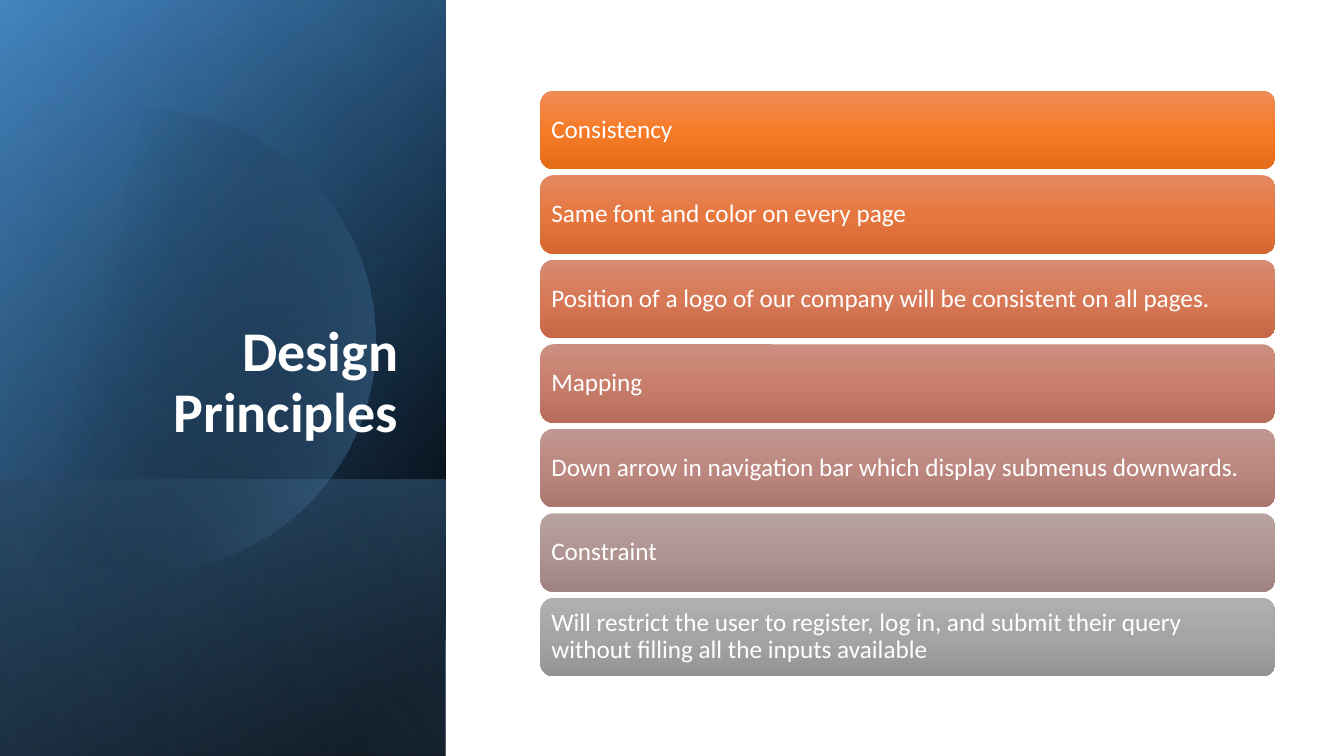
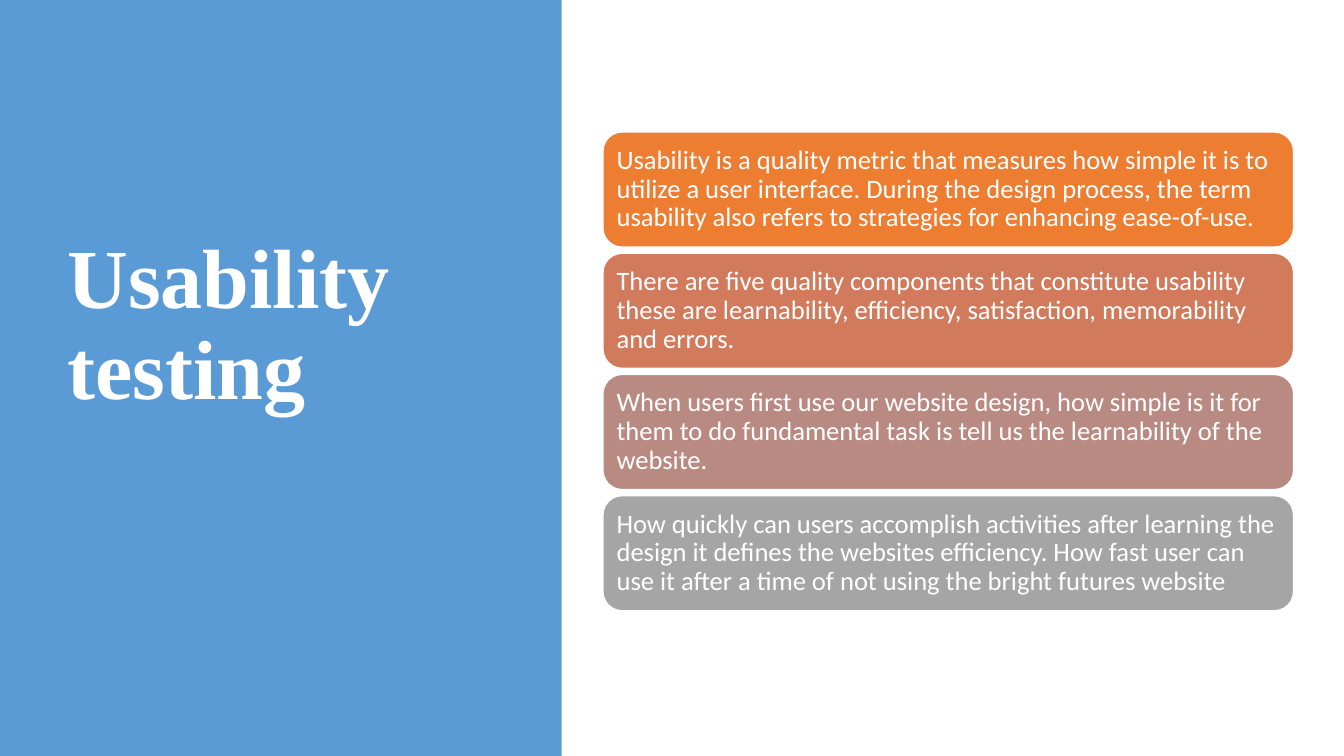
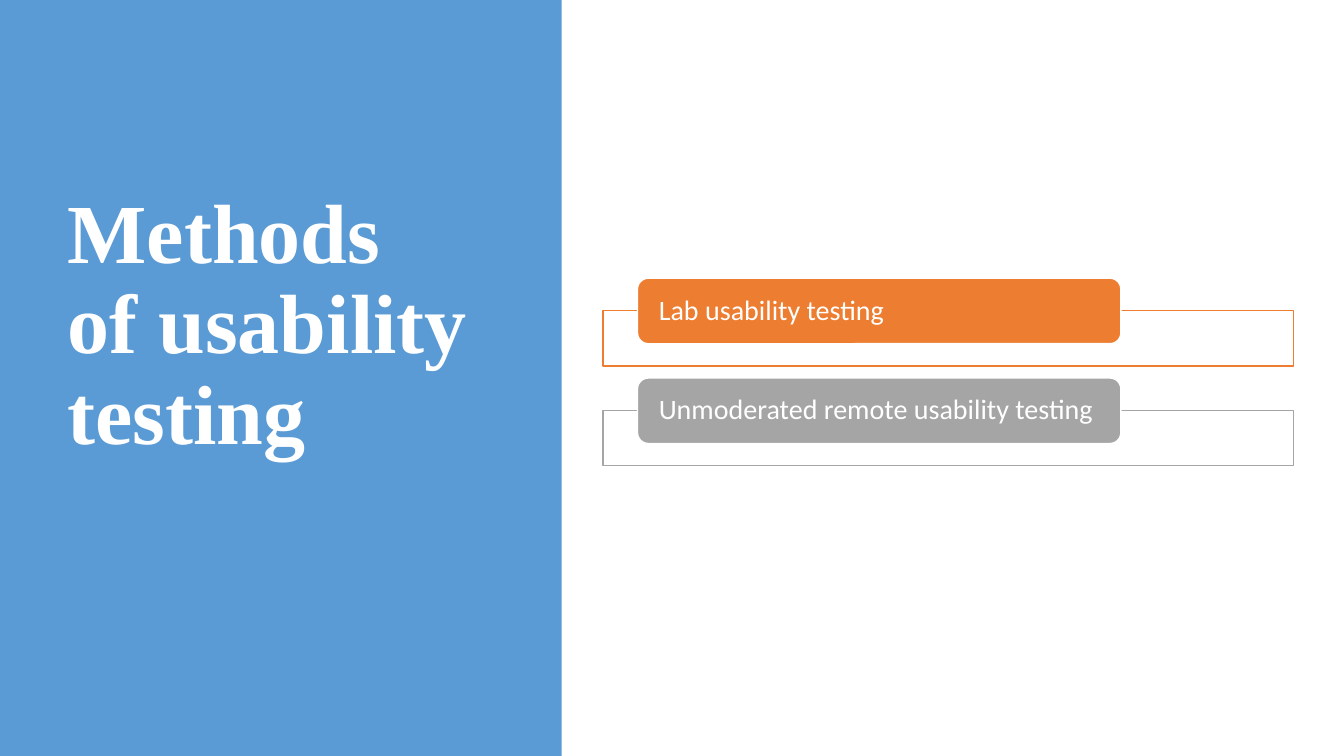
from dataclasses import dataclass
from math import acos, cos, pi, sin

from pptx import Presentation
from pptx.dml.color import RGBColor
from pptx.enum.shapes import MSO_SHAPE
from pptx.enum.text import MSO_ANCHOR, MSO_AUTO_SIZE, PP_ALIGN
from pptx.oxml import parse_xml
from pptx.oxml.ns import nsdecls, qn
from pptx.util import Inches, Pt


@dataclass(frozen=True)
class Theme:
    width: float = 13.33
    height: float = 7.5
    white: str = "FFFFFF"
    black: str = "000000"
    blue: str = "5B9BD5"
    deep_blue: str = "2E75B6"
    pale_blue: str = "9DC3E6"
    orange: str = "ED7D31"
    clay: str = "D17B5C"
    rose: str = "B98A82"
    gray: str = "A5A5A5"
    body_font: str = "Calibri"
    serif_font: str = "Times New Roman"
    principle_title_size: int = 40
    testing_title_size: int = 60
    principle_size: int = 18
    usability_size: int = 19
    method_size: int = 20
    line_spacing: float = 0.9
    gap: float = 0.06


@dataclass(frozen=True)
class Box:
    left: float
    top: float
    width: float
    height: float

    def inches(self):
        return [Inches(v) for v in (self.left, self.top, self.width, self.height)]

    def row(self, index, count, gap):
        """Return one of count equal rows with a gap between them."""
        height = (self.height - gap * (count - 1)) / count
        return Box(self.left, self.top + index * (height + gap), self.width, height)

    def upright(self):
        """Return the frame that covers this box after a quarter turn."""
        return Box(self.left + (self.width - self.height) / 2,
                   self.top + (self.height - self.width) / 2,
                   self.height, self.width)


THEME = Theme()

PRINCIPLES = [
    ("Consistency", ("F18C57", "F67B28", "E56C19")),
    ("Same font and color on every page", ("E38A63", "E6773F", "D56730")),
    ("Position of a logo of our company will be consistent on all pages.",
     ("D78B72", "D77956", "C66846")),
    ("Mapping", ("CB8F81", "C97E6B", "B76D5B")),
    ("Down arrow in navigation bar which display submenus downwards.",
     ("C19791", "BC8880", "AA766E")),
    ("Constraint", ("B7A2A0", "B09593", "9E8381")),
    ("Will restrict the user to register, log in, and submit their query "
     "without filling all the inputs available", ("AFAFAF", "A5A5A5", "939393")),
]

USABILITY = [
    ("Usability is a quality metric that measures how simple it is to utilize "
     "a user interface. During the design process, the term usability also "
     "refers to strategies for enhancing ease-of-use.", THEME.orange),
    ("There are five quality components that constitute usability these are "
     "learnability, efficiency, satisfaction, memorability and errors.", THEME.clay),
    ("When users first use our website design, how simple is it for them to do "
     "fundamental task is tell us the learnability of the website.", THEME.rose),
    ("How quickly can users accomplish activities after learning the design it "
     "defines the websites efficiency. How fast user can use it after a time of "
     "not using the bright futures website", THEME.gray),
]

METHODS = [
    ("Lab usability testing", THEME.orange),
    ("Unmoderated remote usability testing", THEME.gray),
]


def set_gradient(shape, stops, angle):
    """Fill with (position, colour, opacity) stops, all in percent."""
    marks = "".join(
        f'<a:gs pos="{position * 1000}"><a:srgbClr val="{color}">'
        f'<a:alpha val="{opacity * 1000}"/></a:srgbClr></a:gs>'
        for position, color, opacity in stops)
    gradient = parse_xml(
        f'<a:gradFill {nsdecls("a")} rotWithShape="1"><a:gsLst>{marks}</a:gsLst>'
        f'<a:lin ang="{angle * 60000}" scaled="0"/></a:gradFill>')
    shape.fill.background()
    properties = shape.element.spPr
    properties.replace(properties.find(qn("a:noFill")), gradient)


def set_plain(shape, fill=None, line=None):
    shape.shadow.inherit = False
    if fill:
        shape.fill.solid()
        shape.fill.fore_color.rgb = RGBColor.from_string(fill)
    if line:
        shape.line.color.rgb = RGBColor.from_string(line)
        shape.line.width = Pt(1)
    else:
        shape.line.fill.background()


def add_box(slide, kind, box, fill=None, line=None):
    shape = slide.shapes.add_shape(kind, *box.inches())
    set_plain(shape, fill, line)
    return shape


def write(shape, text, size, font, bold=False, align=PP_ALIGN.LEFT,
          anchor=MSO_ANCHOR.MIDDLE):
    frame = shape.text_frame
    frame.word_wrap = True
    frame.auto_size = MSO_AUTO_SIZE.NONE
    frame.vertical_anchor = anchor
    paragraph = frame.paragraphs[0]
    paragraph.alignment = align
    paragraph.line_spacing = THEME.line_spacing
    run = paragraph.add_run()
    run.text = text
    run.font.size = Pt(size)
    run.font.name = font
    run.font.bold = bold
    run.font.color.rgb = RGBColor.from_string(THEME.white)


def set_margins(shape, across, down):
    frame = shape.text_frame
    frame.margin_left = frame.margin_right = Inches(across)
    frame.margin_top = frame.margin_bottom = Inches(down)


def place_title(slide, box, text, size, font, **style):
    """Move the title placeholder in front of the panel and fill it."""
    title = slide.shapes.title
    slide.shapes.element.append(title.element)
    title.left, title.top, title.width, title.height = box.inches()
    set_margins(title, 0.1, 0.05)
    write(title, text, size, font, bold=True, **style)


def add_turned_layer(slide, box, stops, angle):
    """Add a gradient rectangle, mirrored and turned a quarter."""
    layer = add_box(slide, MSO_SHAPE.RECTANGLE, box.upright())
    layer.rotation = 90
    layer.element.spPr.find(qn("a:xfrm")).set("flipH", "1")
    set_gradient(layer, stops, angle)


def add_cut_disc(slide, panel):
    """Add a translucent disc cut off by the panel's left edge."""
    center_x, center_y, radius = 1.43, 3.38, 2.29
    half_turn = acos(-center_x / radius)
    steps = 120
    angles = [half_turn * (2 * step / steps - 1) for step in range(steps + 1)]
    points = [(Inches(panel.left + center_x + radius * cos(angle)),
               Inches(panel.top + center_y + radius * sin(angle)))
              for angle in angles]
    builder = slide.shapes.build_freeform(*points[0])
    builder.add_line_segments(points[1:], close=True)
    disc = builder.convert_to_shape()
    set_plain(disc)
    set_gradient(disc, [(29, THEME.black, 0), (100, THEME.blue, 43)], 14)


def add_gradient_panel(slide, panel):
    foot_height = 2.74
    foot = Box(panel.left, panel.top + panel.height - foot_height,
               panel.width, foot_height)
    add_turned_layer(slide, panel,
                     [(8, THEME.black, 100), (100, THEME.deep_blue, 100)], 50)
    add_turned_layer(slide, panel, [(0, THEME.black, 0), (99, THEME.blue, 46)], 30)
    add_turned_layer(slide, foot, [(2, THEME.blue, 29), (100, THEME.black, 30)], 130)
    add_cut_disc(slide, panel)
    add_turned_layer(slide, panel,
                     [(0, THEME.black, 0), (99, THEME.pale_blue, 11)], 120)


def add_bars(slide, box, items, size, margin, line=None):
    """Stack rounded bars; a fill is one colour or three gradient colours."""
    for index, (text, fill) in enumerate(items):
        bar = add_box(slide, MSO_SHAPE.ROUNDED_RECTANGLE,
                      box.row(index, len(items), THEME.gap), line=line)
        if isinstance(fill, str):
            set_plain(bar, fill, line)
        else:
            set_gradient(bar, [(50 * step, color, 100)
                               for step, color in enumerate(fill)], 90)
        set_margins(bar, margin, margin)
        write(bar, text, size, THEME.body_font)


def add_tabbed_frames(slide, box, items):
    """Stack outlined frames, each with a coloured tab on its upper edge."""
    tab_height, frame_height, frame_drop, gap = 0.65, 0.55, 0.32, 0.12
    for index, (text, color) in enumerate(items):
        row = box.row(index, len(items), gap)
        add_box(slide, MSO_SHAPE.RECTANGLE,
                Box(row.left, row.top + frame_drop, row.width, frame_height),
                THEME.white, color)
        tab = add_box(slide, MSO_SHAPE.ROUNDED_RECTANGLE,
                      Box(row.left + 0.05 * row.width, row.top,
                          0.7 * row.width, tab_height),
                      color, THEME.white)
        set_margins(tab, 0.18, 0)
        write(tab, text, THEME.method_size, THEME.body_font)


def add_slide(presentation):
    return presentation.slides.add_slide(presentation.slide_layouts.get_by_name("Title Only"))


def add_principles_slide(presentation):
    slide = add_slide(presentation)
    add_gradient_panel(slide, Box(0, 0, 4.42, THEME.height))
    place_title(slide, Box(0.64, 1.84, 3.41, 2.62), "Design Principles",
                THEME.principle_title_size, THEME.body_font,
                align=PP_ALIGN.RIGHT, anchor=MSO_ANCHOR.BOTTOM)
    add_bars(slide, Box(5.36, 0.9, 7.29, 5.81), PRINCIPLES,
             THEME.principle_size, 0.07)


def add_testing_slide(presentation, title):
    slide = add_slide(presentation)
    add_box(slide, MSO_SHAPE.RECTANGLE, Box(0, 0, 5.57, THEME.height), THEME.blue)
    place_title(slide, Box(0.57, 0.68, 4.16, 5.12), title,
                THEME.testing_title_size, THEME.serif_font)
    return slide


def main():
    presentation = Presentation()
    presentation.slide_width = Inches(THEME.width)
    presentation.slide_height = Inches(THEME.height)

    add_principles_slide(presentation)

    usability = add_testing_slide(presentation, "Usability testing")
    add_bars(usability, Box(5.98, 1.31, 6.85, 4.75), USABILITY,
             THEME.usability_size, 0.08, THEME.white)

    methods = add_testing_slide(presentation, "Methods of usability testing")
    add_tabbed_frames(methods, Box(5.98, 2.76, 6.85, 1.86), METHODS)

    presentation.save("out.pptx")


if __name__ == "__main__":
    main()
